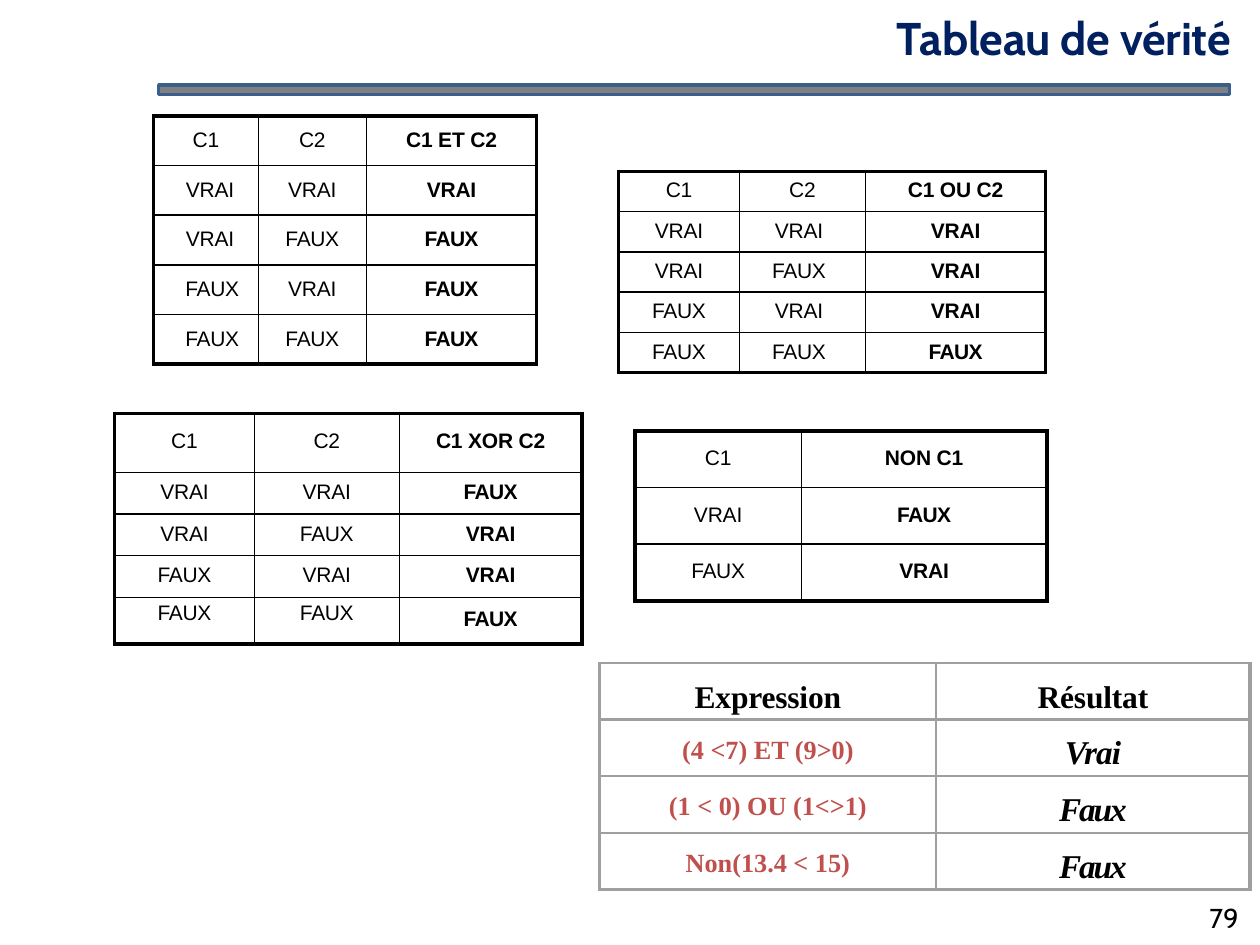
"""Build the truth table slide."""
from lxml.etree import SubElement
from pptx import Presentation
from pptx.dml.color import RGBColor
from pptx.enum.shapes import MSO_SHAPE
from pptx.enum.text import PP_ALIGN
from pptx.oxml.ns import qn
from pptx.util import Pt

HUES = {"black": "000000", "navy": "002060", "red": "C0504D",
        "gray": "808080", "blue": "3A5F8C", "rule": "9F9F9F"}


def write(frame, text, size=12, font="Arial", hue="black", bold=False,
          slant=False, align=PP_ALIGN.CENTER, space=0, line=None):
    para = frame.paragraphs[0]
    para.alignment = align
    if line:
        para.line_spacing = Pt(line)
    run = para.add_run()
    run.text = text
    face = run.font
    face.size, face.name, face.bold, face.italic = Pt(size), font, bold, slant
    face.color.rgb = RGBColor.from_string(HUES[hue])
    if space:
        run._r.get_or_add_rPr().set("spc", str(round(space * 100)))


def grid(left, top, cols, rows, hue, edge, lid, inner):
    frame = slide.shapes.add_table(len(rows), len(cols), Pt(left), Pt(top),
                                   Pt(sum(cols)), Pt(sum(rows)))
    table = frame.table
    table.first_row = table.horz_banding = False
    for col, wide in zip(table.columns, cols):
        col.width = Pt(wide)
    for row, high in zip(table.rows, rows):
        row.height = Pt(high)
    for r in range(len(rows)):
        for c in range(len(cols)):
            cell = table.cell(r, c)
            cell.margin_left = cell.margin_right = 0
            cell.margin_top = cell.margin_bottom = 0
            sides = {"lnL": edge if c == 0 else 1,
                     "lnR": edge if c == len(cols) - 1 else 1,
                     "lnT": lid if r == 0 else inner,
                     "lnB": lid if r == len(rows) - 1 else inner}
            props = cell._tc.get_or_add_tcPr()
            for side, wide in sides.items():
                line = SubElement(props, qn("a:" + side), w=str(Pt(wide)))
                fill = SubElement(line, qn("a:solidFill"))
                SubElement(fill, qn("a:srgbClr"), val=HUES[hue])
            cell.fill.background()
    return table


deck = Presentation()
deck.slide_width, deck.slide_height = Pt(720), Pt(540)
slide = deck.slides.add_slide(deck.slide_layouts[6])

bar = slide.shapes.add_shape(MSO_SHAPE.RECTANGLE, Pt(90.7), Pt(48.5), Pt(612), Pt(5.5))
bar.shadow.inherit = False
bar.fill.solid()
bar.fill.fore_color.rgb = RGBColor.from_string(HUES["gray"])
bar.line.color.rgb = RGBColor.from_string(HUES["blue"])
bar.line.width = Pt(2)

title = slide.shapes.add_textbox(Pt(8.6), Pt(5), Pt(694.8), Pt(32.4)).text_frame
title.word_wrap = True
title.margin_left = title.margin_right = title.margin_bottom = 0
title.margin_top = Pt(0.7)
write(title, "Tableau de vérité", size=26.2, font="Cabin", hue="navy",
      bold=True, align=PP_ALIGN.RIGHT, space=-0.1)

V, F = "VRAI", "FAUX"
pairs = [(V, V), (V, F), (F, V), (F, F)]
truth = {
    "C1 ET C2": (87.8, 66.2, [59.8, 61.9, 97.2], [28.4] * 5, [7.2] * 5, [V, F, F, F]),
    "C1 OU C2": (353.5, 97.9, [69.1, 72, 103], [23.04] * 5, [4.3] * 5, [V, V, V, F]),
    "C1 XOR C2": (65.5, 236.2, [79.9, 82.8, 104.4], [33.8, 23.8, 23.8, 23.8, 26.6],
                  [9.4, 4.6, 4.6, 4.6, 2.2], [F, V, V, F]),
    "NON C1": (362.9, 246.2, [95, 140.4], [32.4] * 3, [8.9] * 3, [F, V]),
}
made = {}
for name, (left, top, cols, rows, pads, ends) in truth.items():
    table = made[name] = grid(left, top, cols, rows, "black", 2.25, 2.25, 1)
    args = [("C1", "C2")] + pairs if len(cols) == 3 else [("C1",), (V,), (F,)]
    for r, (arg, end) in enumerate(zip(args, [name] + ends)):
        for c, text in enumerate(arg + (end,)):
            cell = table.cell(r, c)
            cell.margin_top = Pt(pads[r])
            last = c == len(cols) - 1
            tight = (-0.4 if last else -0.2) if text == F else -0.1
            write(cell.text_frame, text, bold=last, space=tight)

for r, (first, _) in enumerate(pairs, 1):
    cell = made["C1 ET C2"].cell(r, 0)
    cell.margin_right = Pt(13.7 if first == V else 10.9)
    cell.text_frame.paragraphs[0].alignment = PP_ALIGN.RIGHT
    made["C1 OU C2"].cell(r, 1).margin_right = Pt(4)
made["C1 XOR C2"].cell(4, 2).margin_top = Pt(5.6)

tests = [("(4 <7) ET (9>0)", "Vrai", -0.5), ("(1 < 0) OU (1<>1)", "Faux", -1.2),
         ("Non(13.4 < 15)", "Faux", -1.2)]
table = grid(342.7, 378.7, [192.2, 179.3], [32.4] * 4, "rule", 2.25, 1.5, 1.5)
serif = {"font": "Times New Roman", "bold": True}
for c, head in enumerate(["Expression", "Résultat"]):
    write(table.cell(0, c).text_frame, head, size=18, space=-0.1, line=29.9, **serif)
for r, (test, end, tight) in enumerate(tests, 1):
    write(table.cell(r, 0).text_frame, test, size=15, hue="red", line=25.9, **serif)
    write(table.cell(r, 1).text_frame, end, size=19, slant=True, space=tight,
          line=29.9, **serif)

page = slide.shapes.add_textbox(Pt(679), Pt(511.2), Pt(41), Pt(28.8)).text_frame
page.word_wrap = True
write(page, "79", size=15.6, font="Cabin")

deck.save("out.pptx")
